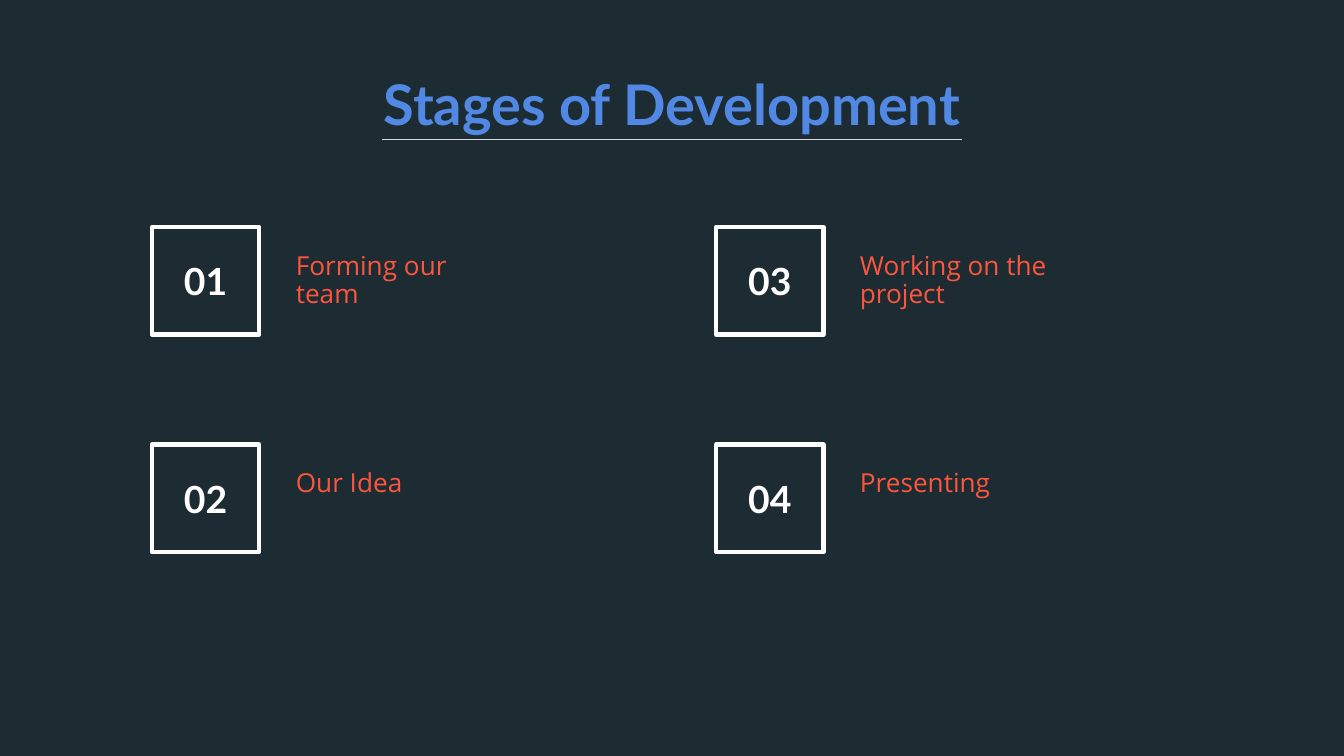
from pptx import Presentation
from pptx.dml.color import RGBColor
from pptx.enum.shapes import MSO_CONNECTOR, MSO_SHAPE
from pptx.enum.text import MSO_ANCHOR, MSO_AUTO_SIZE, PP_ALIGN
from pptx.oxml.ns import qn
from pptx.util import Pt
from lxml import etree

RECTANGLE, STRAIGHT = MSO_SHAPE.RECTANGLE, MSO_CONNECTOR.STRAIGHT
TOP, MIDDLE, BOTTOM = MSO_ANCHOR.TOP, MSO_ANCHOR.MIDDLE, MSO_ANCHOR.BOTTOM
LEFT, CENTER = PP_ALIGN.LEFT, PP_ALIGN.CENTER

NAVY = RGBColor(0x1D, 0x2B, 0x32)
BLUE = RGBColor(0x51, 0x88, 0xE4)
ORANGE = RGBColor(0xFD, 0x56, 0x3E)
WHITE = RGBColor(0xFF, 0xFF, 0xFF)
GREY = RGBColor(0xD9, 0xD9, 0xD9)

# Content: stages run down the first column, then the second;
# the last value is the right inset that sets the line break
TITLE = "Stages of Development"
STAGES = [
    ("01", "Forming our team", 86.4),
    ("02", "Our Idea", 7.2),
    ("03", "Working on the project", 43.2),
    ("04", "Presenting", 79.2),
]

# Layout in points
WIDTH, HEIGHT = 720, 405
ROWS = 2
GRID_LEFT, GRID_TOP = 81.4, 121.7
COLUMN_STEP, ROW_STEP = 302.2, 116.5
BOX = 57.6
LABEL_DX, LABEL_DY, LABEL_W, LABEL_H = 70, 6.6, 185.8, 45.4
RULE_Y, RULE_W = 74.9, 311
INSET = 7.2


def write(shape, text, font, size, color, bold=False, align=LEFT,
          anchor=TOP, right_inset=INSET, spacing=1.0):
    frame = shape.text_frame
    frame.word_wrap = True
    frame.auto_size = MSO_AUTO_SIZE.NONE
    frame.vertical_anchor = anchor
    frame.margin_left = frame.margin_top = frame.margin_bottom = Pt(INSET)
    frame.margin_right = Pt(right_inset)
    paragraph = frame.paragraphs[0]
    paragraph.alignment = align
    paragraph.line_spacing = spacing
    run = paragraph.add_run()
    run.text = text
    run.font.name = font
    run.font.size = Pt(size)
    run.font.bold = bold
    run.font.color.rgb = color


prs = Presentation()
prs.slide_width, prs.slide_height = Pt(WIDTH), Pt(HEIGHT)
slide = prs.slides.add_slide(prs.slide_layouts[5])
slide.background.fill.solid()
slide.background.fill.fore_color.rgb = NAVY

# Title and the rule below it
title = slide.shapes.title
title.left, title.top, title.width, title.height = Pt(42.5), Pt(35.3), Pt(635), Pt(45.4)
write(title, TITLE, "Lato", 30, BLUE, bold=True, align=CENTER, anchor=BOTTOM)

rule_left = (WIDTH - RULE_W) / 2
rule = slide.shapes.add_connector(
    STRAIGHT, Pt(rule_left), Pt(RULE_Y), Pt(rule_left + RULE_W), Pt(RULE_Y))
rule.line.color.rgb = GREY
rule.line.width = Pt(0.75)
etree.SubElement(rule._element.spPr, qn("a:effectLst"))

# Numbered boxes with their labels
for index, (number, label, right_inset) in enumerate(STAGES):
    column, row = divmod(index, ROWS)
    left = GRID_LEFT + column * COLUMN_STEP
    top = GRID_TOP + row * ROW_STEP

    number_box = slide.shapes.add_shape(RECTANGLE, Pt(left), Pt(top), Pt(BOX), Pt(BOX))
    number_box.shadow.inherit = False
    number_box.fill.background()
    number_box.line.color.rgb = WHITE
    number_box.line.width = Pt(2.25)
    write(number_box, number, "Lato", 20, WHITE, bold=True, align=CENTER, anchor=MIDDLE)

    stage_label = slide.shapes.add_textbox(
        Pt(left + LABEL_DX), Pt(top + LABEL_DY), Pt(LABEL_W), Pt(LABEL_H))
    write(stage_label, label, "Open Sans", 14, ORANGE,
          right_inset=right_inset, spacing=0.9)

prs.save("out.pptx")
